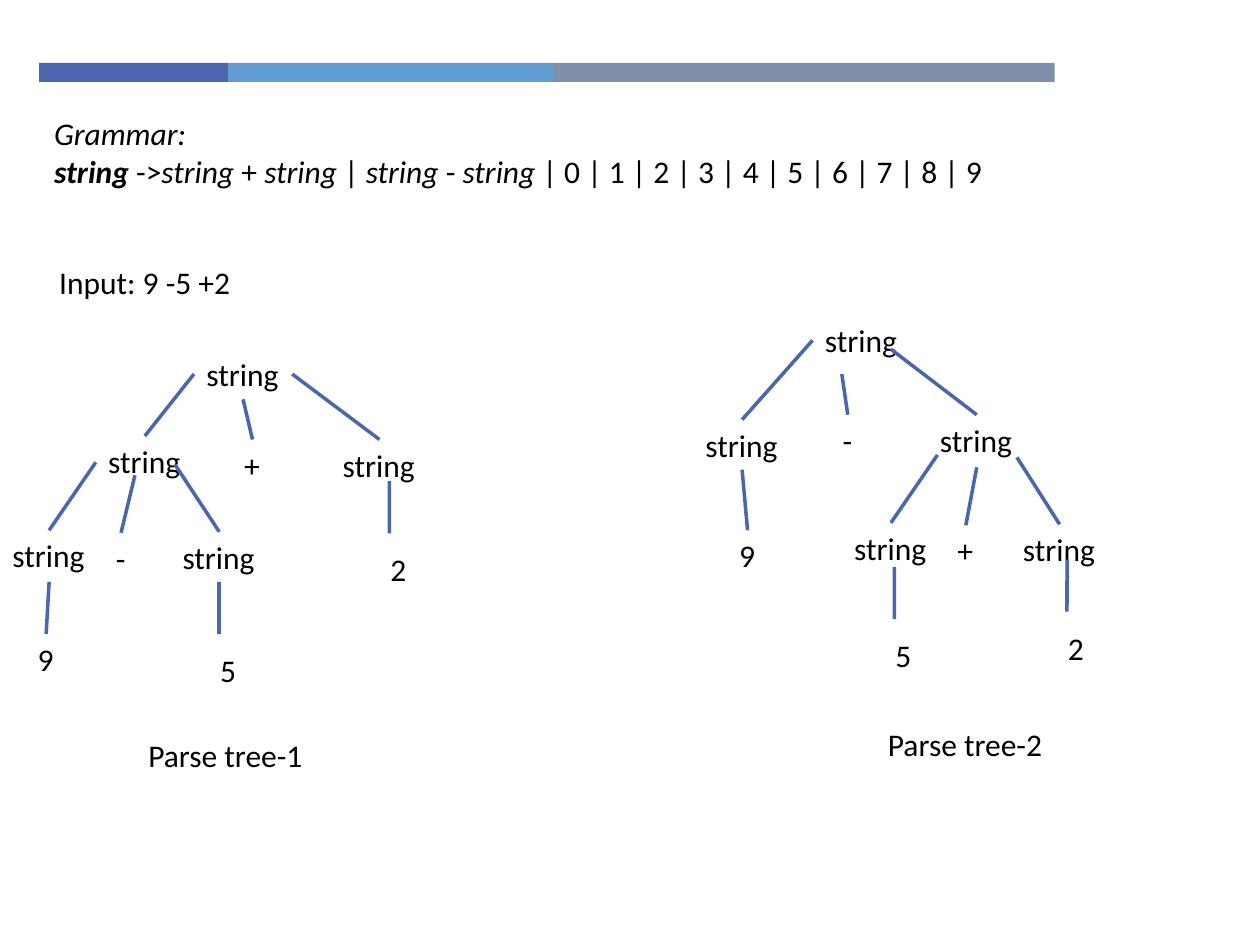
from lxml import etree
from pptx import Presentation
from pptx.dml.color import RGBColor
from pptx.enum import shapes, text
from pptx.oxml import ns
from pptx.util import Cm, Pt

BLUE = RGBColor(0x4A, 0x66, 0xAC)
SKY = RGBColor(0x62, 0x9D, 0xD1)
SLATE = RGBColor(0x7F, 0x8F, 0xA9)
BLACK = RGBColor(0, 0, 0)

LINE_HEIGHT = 1.02
WIDTHS = {"string": 1.98, "-": 0.71, "Input: 9 -5 +2": 4.01,
          "Parse tree-1": 3.66, "Parse tree-2": 3.66}
SYMBOL_WIDTH = 0.84

prs = Presentation()
prs.slide_width, prs.slide_height = Cm(25.4), Cm(19.05)
slide = prs.slides.add_slide(prs.slide_layouts[6])


def add_label(words, centre, top):
    """Write one unwrapped line of text around a horizontal centre."""
    width = WIDTHS.get(words, SYMBOL_WIDTH)
    label = slide.shapes.add_textbox(
        Cm(centre - width / 2), Cm(top), Cm(width), Cm(LINE_HEIGHT))
    frame = label.text_frame
    frame.text = words
    frame.word_wrap = False
    frame.auto_size = text.MSO_AUTO_SIZE.SHAPE_TO_FIT_TEXT
    style_run(frame.paragraphs[0].runs[0])


def style_run(run, bold=False, italic=False):
    """Apply the common font of the slide to a run."""
    run.font.name = "Calibri"
    run.font.size = Pt(18)
    run.font.color.rgb = BLACK
    run.font.bold = bold
    run.font.italic = italic


# Header bar
band_left = 0.79
for band_width, colour in ((3.81, BLUE), (6.55, SKY), (10.11, SLATE)):
    band = slide.shapes.add_shape(
        shapes.MSO_SHAPE.RECTANGLE, Cm(band_left), Cm(1.27), Cm(band_width), Cm(0.38))
    band.shadow.inherit = False
    band.fill.solid()
    band.fill.fore_color.rgb = colour
    band.line.fill.background()
    band_left += band_width

# Grammar: each run is (words, bold, italic)
grammar_lines = [
    [("Grammar:", False, True)],
    [("string", True, True), ("\u00a0->", False, False),
     ("string", False, True), ("\u00a0+\u00a0", False, False),
     ("string", False, True), ("\u00a0|\u00a0", False, False),
     ("string", False, True), ("\u00a0-\u00a0", False, False),
     ("string ", False, True),
     ("| " + " | ".join(str(digit) for digit in range(10)), False, False)],
]
grammar = slide.shapes.add_textbox(Cm(0.84), Cm(2.18), Cm(19.74), Cm(1.8)).text_frame
grammar.word_wrap = True
grammar.auto_size = text.MSO_AUTO_SIZE.SHAPE_TO_FIT_TEXT
for number, pieces in enumerate(grammar_lines):
    paragraph = grammar.add_paragraph() if number else grammar.paragraphs[0]
    for words, bold, italic in pieces:
        run = paragraph.add_run()
        run.text = words
        style_run(run, bold, italic)

add_label("Input: 9 -5 +2", 2.95, 5.18)

# Tree nodes: symbol, centre, top, start of the branch from the parent.
# A branch ends at the top centre of its node; above a set-off leaf it stops
# short, up and to the left, by LEAF_GAP.
LEAF_GAP = (0.19, 0.22)
TOUCHING = (0, 0)
first_tree = [
    ("string", 4.9, 7.04, None, TOUCHING),
    ("string", 2.92, 8.79, (3.91, 7.54), TOUCHING),
    ("+", 5.09, 8.86, (4.9, 8.05), TOUCHING),
    ("string", 7.65, 8.86, (5.89, 7.54), TOUCHING),
    ("string", 0.99, 10.69, (1.93, 9.32), TOUCHING),
    ("-", 2.44, 10.74, (2.72, 9.58), TOUCHING),
    ("string", 4.42, 10.72, (3.53, 9.37), TOUCHING),
    ("9", 0.93, 12.78, (0.99, 11.73), TOUCHING),
    ("5", 4.61, 13.0, (4.42, 11.73), LEAF_GAP),
    ("2", 8.04, 10.97, (7.85, 9.7), LEAF_GAP),
    ("Parse tree-1", 4.57, 14.71, None, TOUCHING),
]
second_tree = [
    ("string", 17.37, 6.35, None, TOUCHING),
    ("string", 14.96, 8.46, (16.38, 6.86), TOUCHING),
    ("-", 17.09, 8.36, (16.97, 7.54), TOUCHING),
    ("string", 19.69, 8.36, (17.96, 7.04), TOUCHING),
    ("string", 17.96, 10.54, (18.9, 9.17), TOUCHING),
    ("+", 19.47, 10.59, (19.69, 9.42), TOUCHING),
    ("string", 21.36, 10.57, (20.5, 9.22), TOUCHING),
    ("5", 18.22, 12.7, (18.03, 11.43), LEAF_GAP),
    ("2", 21.7, 12.55, (21.51, 11.28), LEAF_GAP),
    ("9", 15.07, 10.69, (14.96, 9.47), TOUCHING),
    ("Parse tree-2", 19.48, 14.5, None, TOUCHING),
]
for symbol, centre, top, start, (gap_x, gap_y) in first_tree + second_tree:
    add_label(symbol, centre, top)
    if start:
        branch = slide.shapes.add_connector(
            shapes.MSO_CONNECTOR.STRAIGHT, Cm(start[0]), Cm(start[1]),
            Cm(centre - gap_x), Cm(top - gap_y))
        branch.line.color.rgb = BLUE
        branch.line.width = Pt(2)
        etree.SubElement(branch._element.spPr, ns.qn("a:effectLst"))

prs.save("out.pptx")
